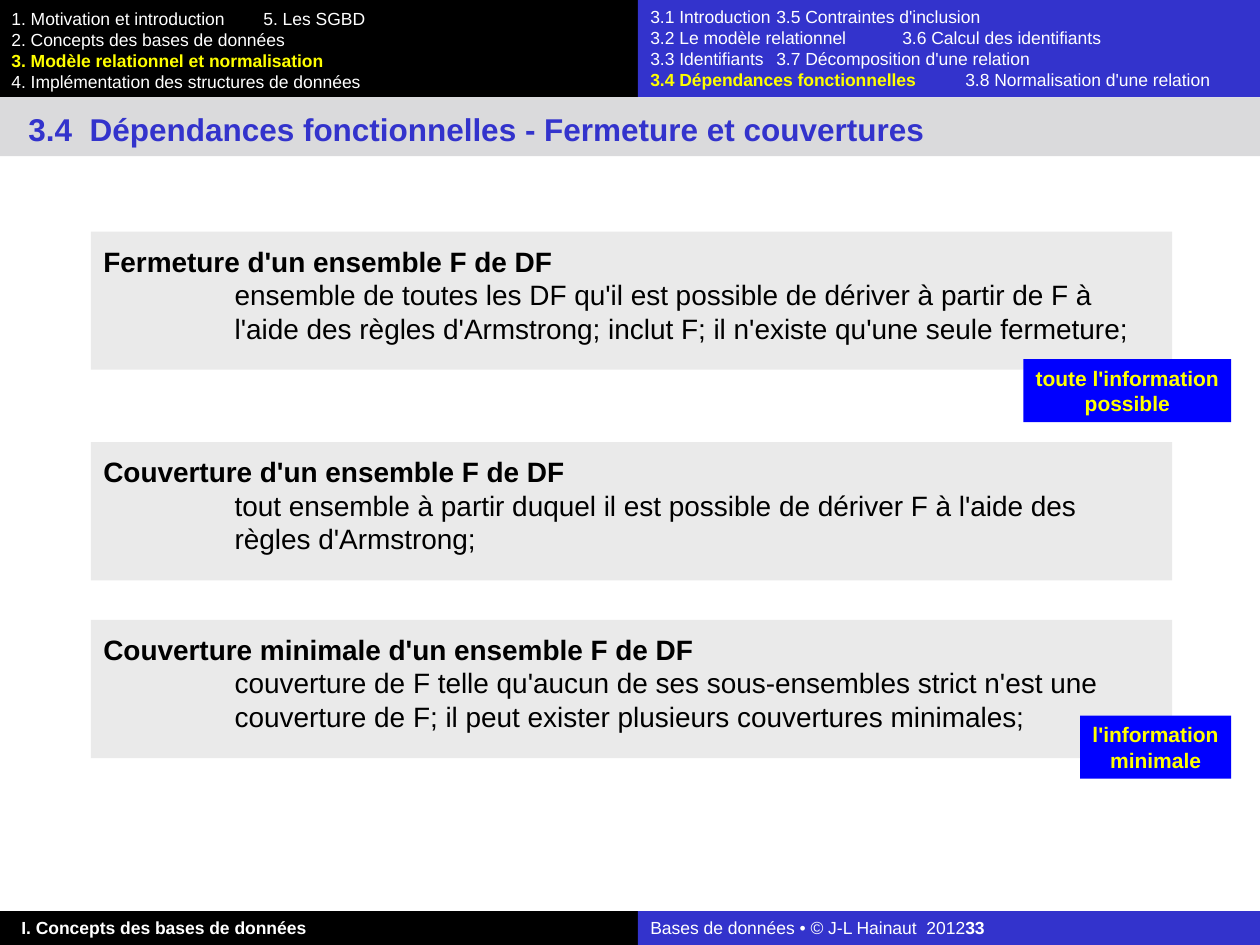
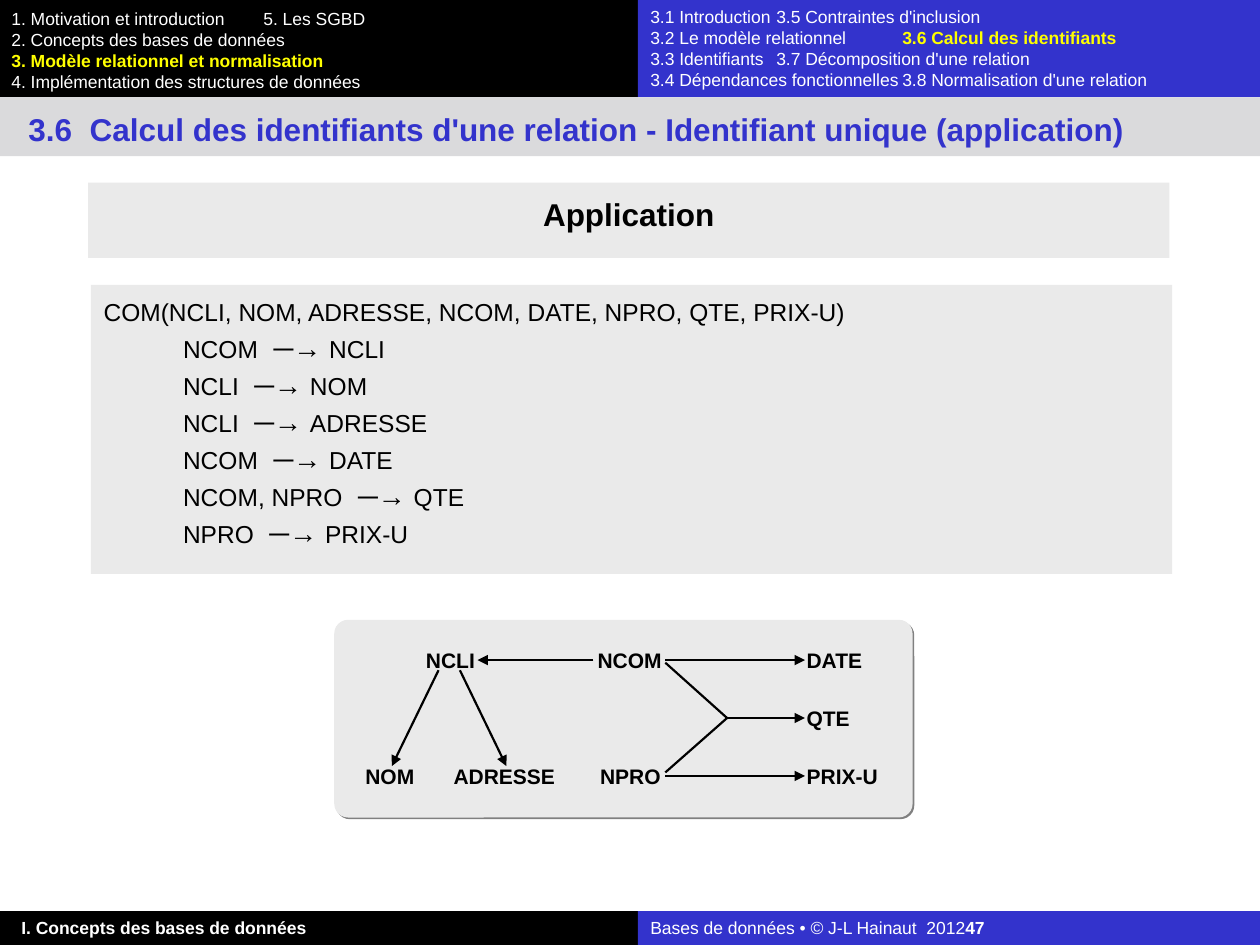
from dataclasses import dataclass
from lxml.etree import SubElement
from pptx import Presentation
from pptx.dml.color import RGBColor
from pptx.enum.shapes import MSO_CONNECTOR, MSO_SHAPE
from pptx.enum.text import MSO_ANCHOR, MSO_AUTO_SIZE, PP_ALIGN
from pptx.oxml.ns import qn
from pptx.util import Pt

PARTS = ["1. Motivation et introduction", "2. Concepts des bases de données",
         "3. Modèle relationnel et normalisation",
         "4. Implémentation des structures de données", "5. Les SGBD"]
TOPICS = ["3.1 Introduction", "3.2 Le modèle relationnel", "3.3 Identifiants",
          "3.4 Dépendances fonctionnelles", "3.5 Contraintes d'inclusion",
          "3.6 Calcul des identifiants", "3.7 Décomposition d'une relation",
          "3.8 Normalisation d'une relation"]
PART_NOW = 2
BOOK = "I. Concepts des bases de données"
CREDIT = "Bases de données • © J-L Hainaut  2012"

# title, page, current topic, tab of the second topic column
COVERS = ("3.4  Dépendances fonctionnelles - Fermeture et couvertures", "33", 3, 157.7)
KEYS = ("3.6  Calcul des identifiants d'une relation - Identifiant unique (application)",
        "47", 5, 149.8)

# top, term, meaning
TERMS = [
    (132.3, "Fermeture d'un ensemble F de DF",
     "ensemble de toutes les DF qu'il est possible de dériver à partir de F à "
     "l'aide des règles d'Armstrong; inclut F; il n'existe qu'une seule fermeture;"),
    (252.7, "Couverture d'un ensemble F de DF",
     "tout ensemble à partir duquel il est possible de dériver F à l'aide des "
     "règles d'Armstrong;"),
    (354.2, "Couverture minimale d'un ensemble F de DF",
     "couverture de F telle qu'aucun de ses sous-ensembles strict n'est une "
     "couverture de F; il peut exister plusieurs couvertures minimales;"),
]
# top, width, lines
TAGS = [(205.2, 118.8, ["toute l'information", "possible"]),
        (409, 86.4, ["l'information", "minimale"])]

HEAD = "Application"
SCHEMA = "COM(NCLI, NOM, ADRESSE, NCOM, DATE, NPRO, QTE, PRIX-U)"
DEPS = [("NCOM", "NCLI"), ("NCLI", "NOM"), ("NCLI", "ADRESSE"), ("NCOM", "DATE"),
        ("NCOM, NPRO", "QTE"), ("NPRO", "PRIX-U")]

# name, left, width, row
NODES = [("NCLI", 243.4, 28, 0), ("NOM", 208.8, 28, 2), ("ADRESSE", 259.2, 58, 2),
         ("NCOM", 341.3, 37, 0), ("NPRO", 342.7, 35, 2), ("DATE", 460.8, 32, 0),
         ("QTE", 460.8, 25, 1), ("PRIX-U", 460.8, 41, 2)]
ROW_TOP, ROW_STEP, NODE_H = 370, 33.1, 14.4
MID = [ROW_TOP + NODE_H / 2 + ROW_STEP * row for row in range(3)]
OUT, FORK, GOAL = 380.2, 415.5, 460
# start, end, arrow
LINKS = [((OUT, MID[0] + 1.5), (FORK, MID[1]), False),
         ((FORK, MID[1]), (OUT, MID[2] - 2), False),
         ((FORK, MID[1]), (GOAL, MID[1]), True),
         ((OUT, MID[0]), (GOAL, MID[0]), True),
         ((OUT, MID[2]), (GOAL, MID[2]), True),
         ((339.1, MID[0]), (272.9, MID[0]), True),
         ((250.6, 383), (223.9, 437.8), True),
         ((262.8, 383), (289.4, 437.8), True)]


@dataclass(frozen=True)
class Theme:
    font: str = "Arial"
    black: str = "000000"
    white: str = "FFFFFF"
    blue: str = "3333CC"
    vivid: str = "0000FF"
    yellow: str = "FFFF00"
    band: str = "DADADC"
    panel: str = "EAEAEA"
    shade: str = "808080"
    small: int = 10
    label: int = 12
    code: int = 14
    text: int = 16
    title: int = 18


T = Theme()
WIDE, HIGH = 720, 540
SPLIT, TOP_H, FOOT_Y = 364.5, 55.6, 520.6
LEFT, PANEL_W = 52, 617.8
SLIM = (7.2, 3.6, 7.2, 3.6)
ROOMY = (7.2, 7.2, 7.2, 14.4)


def paint(shape, color):
    shape.fill.solid()
    shape.fill.fore_color.rgb = RGBColor.from_string(color)


def place(shape, left, top, width, height):
    shape.left, shape.top = Pt(left), Pt(top)
    shape.width, shape.height = Pt(width), Pt(height)


def block(slide, color, *area, kind=MSO_SHAPE.RECTANGLE):
    shape = slide.shapes.add_shape(kind, *map(Pt, area))
    shape.shadow.inherit = False
    paint(shape, color)
    shape.line.fill.background()
    return shape


def run(text, size, color=T.black, bold=False):
    return text, size, color, bold


def write(shape, rows, inset=SLIM, align=PP_ALIGN.LEFT, anchor=MSO_ANCHOR.TOP,
          wrap=True, tab=None, indent=0, gap=0):
    """Fill a shape with rows of runs; indent and gap apply after the first row."""
    frame = shape.text_frame
    frame.auto_size = MSO_AUTO_SIZE.NONE
    frame.word_wrap = wrap
    frame.vertical_anchor = anchor
    (frame.margin_left, frame.margin_top,
     frame.margin_right, frame.margin_bottom) = map(Pt, inset)
    for i, row in enumerate(rows):
        par = frame.add_paragraph() if i else frame.paragraphs[0]
        props = par._p.get_or_add_pPr()
        props.set("marL", str(Pt(indent if i else 0)))
        props.set("indent", "0")
        SubElement(props, qn("a:buNone"))
        if tab:
            stops = SubElement(props, qn("a:tabLst"))
            SubElement(stops, qn("a:tab"), pos=str(Pt(tab[0])), algn=tab[1])
        par.alignment = align
        par.space_before = Pt(gap if i else 0)
        for text, size, color, bold in row:
            piece = par.add_run()
            piece.text = text
            piece.font.name, piece.font.size = T.font, Pt(size)
            piece.font.bold, piece.font.italic = bold, False
            piece.font.color.rgb = RGBColor.from_string(color)


def menu(items, now):
    """Rows of two columns, four items deep, with the current item lit."""
    cells = [run(item, T.small, T.yellow if i == now else T.white, i == now)
             for i, item in enumerate(items)]
    rows = [[cell] for cell in cells[:4]]
    for row, cell in zip(rows, cells[4:]):
        row += [run("\t", T.small), cell]
    return rows


def start(deck, layout, title, page, topic, stop):
    """Add a slide with its menus, title band and footer."""
    slide = deck.slides.add_slide(deck.slide_layouts[layout])
    right = WIDE - SPLIT
    write(block(slide, T.black, 0, 0, SPLIT, TOP_H), menu(PARTS, PART_NOW),
          (6.5, 4.4, 7.2, 3.6), tab=(223, "l"))
    write(block(slide, T.blue, SPLIT, 0, right, TOP_H), menu(TOPICS, topic),
          tab=(stop, "l"))
    write(block(slide, T.black, 0, FOOT_Y, SPLIT, HIGH - FOOT_Y),
          [[run(BOOK, T.small, T.white, True)]], (12.2, 3.6, 7.2, 3.6))
    write(block(slide, T.blue, SPLIT, FOOT_Y, right, HIGH - FOOT_Y),
          [[run(CREDIT + "\t", T.small, T.white), run(page, T.small, T.white, True)]],
          tab=(337.7, "r"))
    block(slide, T.band, 0, TOP_H, WIDE, 33.6)
    head = slide.shapes.title
    place(head, 9, 59, 672, 29)
    write(head, [[run(title, T.title, T.blue, True)]])
    slide.shapes._spTree.append(head._element)  # bring in front of its band
    return slide


def link(slide, begin, end, arrow):
    line = slide.shapes.add_connector(MSO_CONNECTOR.STRAIGHT, *map(Pt, begin + end))
    line.line.width = Pt(1.25)
    line.line.color.rgb = RGBColor.from_string(T.black)
    if arrow:
        SubElement(line.line._get_or_add_ln(), qn("a:tailEnd"), type="triangle")
    SubElement(line._element.spPr, qn("a:effectLst"))


def graph(slide):
    card = block(slide, T.panel, 191, 354.2, 330.5, 113,
                 kind=MSO_SHAPE.ROUNDED_RECTANGLE)
    card.adjustments[0] = 0.07
    effects = card._element.spPr.find(qn("a:effectLst"))
    shade = SubElement(effects, qn("a:outerShdw"), dist=str(Pt(1.4)),
                       dir="2700000", algn="ctr", rotWithShape="0")
    SubElement(shade, qn("a:srgbClr"), val=T.shade)
    for name, left, width, row in NODES:
        box = slide.shapes.add_textbox(
            *map(Pt, (left, ROW_TOP + ROW_STEP * row, width, NODE_H)))
        write(box, [[run(name, T.label, bold=True)]], (0, 0, 0, 0),
              PP_ALIGN.CENTER, MSO_ANCHOR.MIDDLE, wrap=False)
    for item in LINKS:
        link(slide, *item)


def covers(deck):
    slide = start(deck, 5, *COVERS)
    for top, term, sense in TERMS:
        write(block(slide, T.panel, LEFT, top, PANEL_W, 79),
              [[run(term, T.text, bold=True)], [run(sense, T.text)]],
              ROOMY, indent=75)
    for top, width, lines in TAGS:
        write(block(slide, T.vivid, 703.6 - width, top, width, 36),
              [[run(line, T.label, T.yellow, True)] for line in lines],
              align=PP_ALIGN.CENTER, wrap=False)


def keys(deck):
    slide = start(deck, 1, *KEYS)
    body = slide.placeholders[1]
    place(body, LEFT, 162.8, PANEL_W, 165.2)
    paint(body, T.panel)
    rows = [[run(SCHEMA, T.code)]]
    rows += [[run(a, T.code), run("  ─→ ", T.text), run(b, T.code)] for a, b in DEPS]
    write(body, rows, ROOMY, indent=45.4, gap=2)
    graph(slide)
    write(block(slide, T.panel, 50.4, 104.4, PANEL_W, 43),
          [[run(HEAD, T.title, bold=True)]], ROOMY, PP_ALIGN.CENTER)


def main():
    deck = Presentation()
    deck.slide_width, deck.slide_height = Pt(WIDE), Pt(HIGH)
    covers(deck)
    keys(deck)
    deck.save("out.pptx")


if __name__ == "__main__":
    main()
